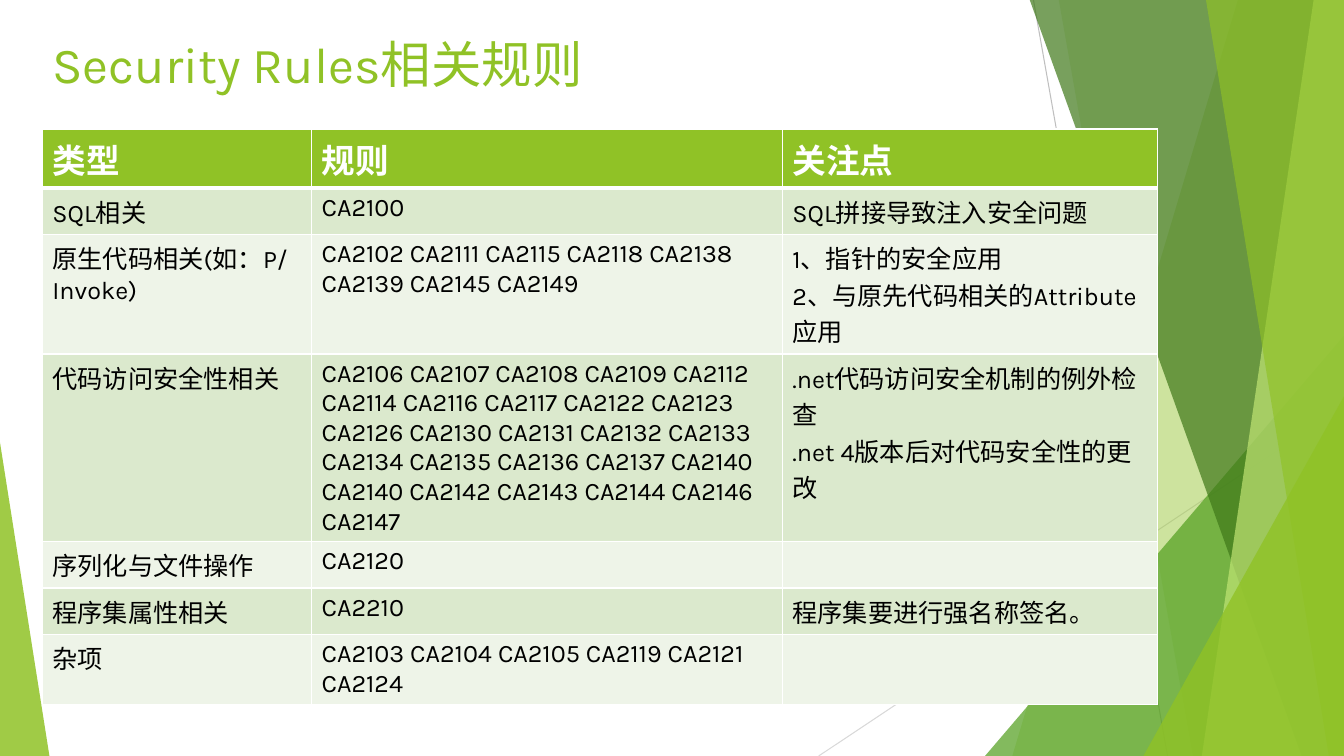
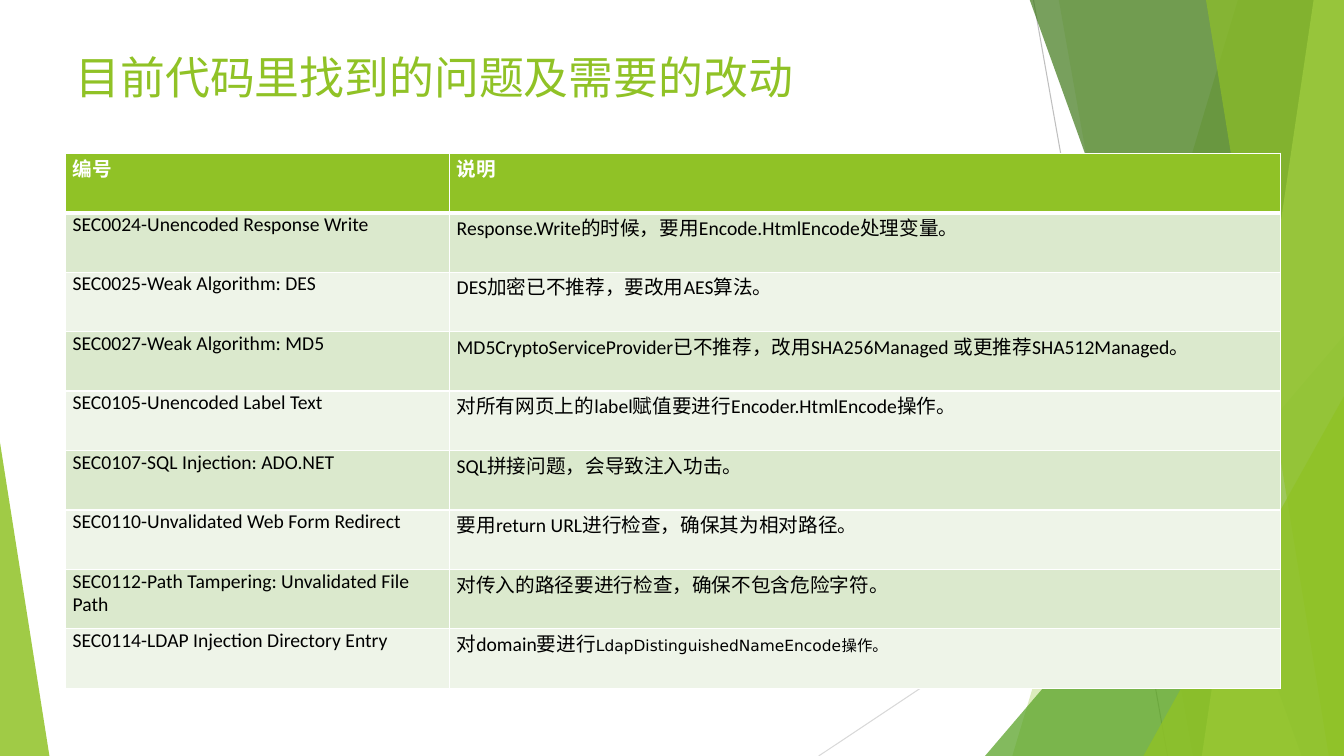
"""Build two slides of code security rules with a shared green backdrop."""
from dataclasses import dataclass

from lxml import etree
from pptx import Presentation
from pptx import util as u
from pptx.dml.color import RGBColor
from pptx.enum import shapes, text
from pptx.oxml import ns

PX = 9144
WIDTH, HEIGHT = 1333, 750


@dataclass(frozen=True)
class Theme:
    """Colours, fonts and type sizes of the deck."""
    green: str = "90C226"
    leaf: str = "54A021"
    forest: str = "3F7819"
    lime: str = "C0E474"
    band_dark: str = "DBE9CD"
    band_light: str = "EEF4E8"
    white: str = "FFFFFF"
    ink: str = "000000"
    ray_dark: str = "BFBFBF"
    ray_light: str = "D9D9D9"
    font: str = "Karla"
    table_font: str = "Calibri"
    code_font: str = "DejaVu Sans"
    title_large: int = 36
    title_small: int = 32
    head_size: int = 24
    rule_size: int = 18
    issue_size: int = 14
    note_size: int = 11


THEME = Theme()


@dataclass(frozen=True)
class Ray:
    """A thin line of the backdrop."""
    start: tuple[int, int]
    end: tuple[int, int]
    colour: str


@dataclass(frozen=True)
class Shard:
    """A translucent outline running to the right edge, or a preset triangle."""
    colour: str
    opacity: int
    top_x: int = 0
    bottom_x: int = 0
    triangle: tuple[int, int, int, int] | None = None
    apex: int = 1


@dataclass(frozen=True)
class Span:
    """A stretch of text with its own font and size."""
    words: str
    font: str
    size: int


Cell = str | tuple[Span, ...]


@dataclass(frozen=True)
class Grid:
    """A table: place, sizes, type and cell texts."""
    left: int
    top: int
    columns: tuple[int, ...]
    heights: tuple[int, ...]
    font: str
    head_size: int
    body_size: int
    margins: tuple[int, int]
    rows: tuple[tuple[Cell, ...], ...]


@dataclass(frozen=True)
class Content:
    """A slide: title, its place and size, and its table."""
    title: str
    place: tuple[int, int, int, int]
    size: int
    grid: Grid


RAYS = (
    Ray((1025, 0), (1158, 750), THEME.ray_dark),
    Ray((1333, 403), (812, 750), THEME.ray_light),
)
SHARDS = (
    Shard(THEME.green, 30, 1228, 1004),
    Shard(THEME.green, 20, 1050, 1183),
    Shard(THEME.leaf, 72, triangle=(977, 333, 356, 417)),
    Shard(THEME.forest, 70, 1021, 1291),
    Shard(THEME.lime, 70, 1303, 1192),
    Shard(THEME.green, 65, 1196, 1318),
    Shard(THEME.green, 80, triangle=(1134, 393, 199, 357)),
    Shard(THEME.green, 85, triangle=(0, 439, 49, 311), apex=0),
)

RULES = Grid(
    42, 128, (267, 467, 372), (57, 46, 118, 186, 46, 46, 69),
    THEME.font, THEME.head_size, THEME.rule_size, (10, 5),
    (
        ("类型", "规则", "关注点"),
        ("SQL相关", "CA2100", "SQL拼接导致注入安全问题"),
        ("原生代码相关(如：P/Invoke)",
         "CA2102 CA2111 CA2115 CA2118 CA2138 CA2139 CA2145 CA2149",
         "1、指针的安全应用\n2、与原先代码相关的Attribute应用"),
        ("代码访问安全性相关",
         "CA2106 CA2107 CA2108 CA2109 CA2112 CA2114 CA2116 CA2117 CA2122 CA2123 "
         "CA2126 CA2130 CA2131 CA2132 CA2133 CA2134 CA2135 CA2136 CA2137 CA2140\n"
         "CA2140 CA2142 CA2143 CA2144 CA2146 CA2147",
         ".net代码访问安全机制的例外检查\n.net 4版本后对代码安全性的更改"),
        ("序列化与文件操作", "CA2120", ""),
        ("程序集属性相关", "CA2210", "程序集要进行强名称签名。"),
        ("杂项", "CA2103 CA2104 CA2105 CA2119 CA2121 CA2124", ""),
    ),
)
ISSUES = Grid(
    65, 152, (381, 824), (59,) * 9,
    THEME.table_font, THEME.issue_size, THEME.issue_size, (7, 0),
    (
        ("编号", "说明"),
        ("SEC0024-Unencoded Response Write",
         "Response.Write的时候，要用Encode.HtmlEncode处理变量。"),
        ("SEC0025-Weak Algorithm: DES", "DES加密已不推荐，要改用AES算法。"),
        ("SEC0027-Weak Algorithm: MD5",
         "MD5CryptoServiceProvider已不推荐，改用SHA256Managed 或更推荐SHA512Managed。"),
        ("SEC0105-Unencoded Label Text",
         "对所有网页上的label赋值要进行Encoder.HtmlEncode操作。"),
        ("SEC0107-SQL Injection: ADO.NET", "SQL拼接问题，会导致注入功击。"),
        ("SEC0110-Unvalidated Web Form Redirect",
         "要用return URL进行检查，确保其为相对路径。"),
        ("SEC0112-Path Tampering: Unvalidated File Path",
         "对传入的路径要进行检查，确保不包含危险字符。"),
        ("SEC0114-LDAP Injection Directory Entry", (
            Span("对domain要进行", THEME.table_font, THEME.issue_size),
            Span("LdapDistinguishedNameEncode", THEME.code_font, THEME.note_size),
            Span("操作。", THEME.table_font, THEME.note_size),
        )),
    ),
)
CONTENTS = (
    Content("Security Rules相关规则", (42, 28, 1150, 100), THEME.title_large, RULES),
    Content("目前代码里找到的问题及需要的改动", (65, 44, 1162, 87),
            THEME.title_small, ISSUES),
)


def px(*lengths: int) -> list[u.Emu]:
    """Turn lengths in px into EMU."""
    return [u.Emu(length * PX) for length in lengths]


def rgb(colour: str) -> RGBColor:
    """Turn a hex string into a colour."""
    return RGBColor.from_string(colour)


def style_font(font, name: str, size: int, colour: str, bold: bool = False) -> None:
    """Set face, size, colour and weight of a font."""
    font.name, font.size, font.bold = name, u.Pt(size), bold
    font.color.rgb = rgb(colour)


def draw_ray(page, ray: Ray):
    """Draw a thin backdrop line without a shadow."""
    line = page.shapes.add_connector(
        shapes.MSO_CONNECTOR.STRAIGHT, *px(*ray.start, *ray.end))
    line.line.color.rgb = rgb(ray.colour)
    line.line.width = u.Pt(0.75)
    etree.SubElement(line.element.spPr, ns.qn("a:effectLst"))
    return line


def draw_shard(page, shard: Shard):
    """Draw a translucent backdrop shape."""
    if shard.triangle:
        box = page.shapes.add_shape(
            shapes.MSO_SHAPE.ISOSCELES_TRIANGLE, *px(*shard.triangle))
        box.adjustments[0] = shard.apex
    else:
        outline = page.shapes.build_freeform(shard.top_x, -1, scale=PX)
        outline.add_line_segments(
            [(WIDTH, -1), (WIDTH, HEIGHT), (shard.bottom_x, HEIGHT)], close=True)
        box = outline.convert_to_shape()
    box.shadow.inherit = False
    box.fill.solid()
    box.fill.fore_color.rgb = rgb(shard.colour)
    box.line.fill.background()
    colour = box.element.spPr.find(f".//{ns.qn('a:srgbClr')}")
    etree.SubElement(colour, ns.qn("a:alpha"), val=str(shard.opacity * 1000))
    return box


def build_backdrop(deck, page) -> None:
    """Draw the backdrop on a page and move it to the back of the master."""
    parts = [draw_ray(page, ray) for ray in RAYS]
    parts += [draw_shard(page, shard) for shard in SHARDS]
    tree = deck.slide_master.shapes.element
    for index, part in enumerate(parts):
        part.element.find(f".//{ns.qn('p:cNvPr')}").set("id", str(100 + index))
        tree.insert(2 + index, part.element)


def set_borders(cell, row: int) -> None:
    """Give a cell white borders, thicker between header and body."""
    props = cell._tc.get_or_add_tcPr()
    widths = {"L": 1, "R": 1, "T": 3 if row == 1 else 1, "B": 3 if row == 0 else 1}
    for side, width in widths.items():
        line = etree.SubElement(props, ns.qn(f"a:ln{side}"), w=str(u.Pt(width)))
        fill = etree.SubElement(line, ns.qn("a:solidFill"))
        etree.SubElement(fill, ns.qn("a:srgbClr"), val=THEME.white)


def write_cell(cell, content: Cell, grid: Grid, head: bool) -> None:
    """Write a cell's paragraphs or spans in the grid's type."""
    frame = cell.text_frame
    colour = THEME.white if head else THEME.ink
    if isinstance(content, str):
        frame.text = content
        for para in frame.paragraphs:
            style_font(para.font, grid.font,
                       grid.head_size if head else grid.body_size, colour, head)
        return
    for part in content:
        span = frame.paragraphs[0].add_run()
        span.text = part.words
        style_font(span.font, part.font, part.size, colour)


def draw_grid(page, grid: Grid) -> None:
    """Draw a banded table."""
    table = page.shapes.add_table(
        len(grid.rows), len(grid.columns),
        *px(grid.left, grid.top, sum(grid.columns), sum(grid.heights))).table
    for column, width in zip(table.columns, px(*grid.columns)):
        column.width = width
    for row, height in zip(table.rows, px(*grid.heights)):
        row.height = height
    side, edge = px(*grid.margins)
    bands = (THEME.band_light, THEME.band_dark)
    for r, contents in enumerate(grid.rows):
        for c, content in enumerate(contents):
            cell = table.cell(r, c)
            set_borders(cell, r)
            cell.fill.solid()
            cell.fill.fore_color.rgb = rgb(bands[r % 2] if r else THEME.green)
            cell.margin_left = cell.margin_right = side
            cell.margin_top = cell.margin_bottom = edge
            write_cell(cell, content, grid, r == 0)


def write_title(page, content: Content) -> None:
    """Place and format the title placeholder."""
    box = page.shapes.title
    box.left, box.top, box.width, box.height = px(*content.place)
    frame = box.text_frame
    frame.text = content.title
    frame.word_wrap = True
    frame.auto_size = text.MSO_AUTO_SIZE.NONE
    frame.vertical_anchor = text.MSO_ANCHOR.TOP
    para = frame.paragraphs[0]
    para.alignment = text.PP_ALIGN.LEFT
    style_font(para.font, THEME.font, content.size, THEME.green)


def main() -> None:
    """Build and save the deck."""
    deck = Presentation()
    deck.slide_width, deck.slide_height = px(WIDTH, HEIGHT)
    for index, content in enumerate(CONTENTS):
        page = deck.slides.add_slide(deck.slide_layouts[5])
        if index == 0:
            build_backdrop(deck, page)
        write_title(page, content)
        draw_grid(page, content.grid)
    deck.save("out.pptx")


if __name__ == "__main__":
    main()
